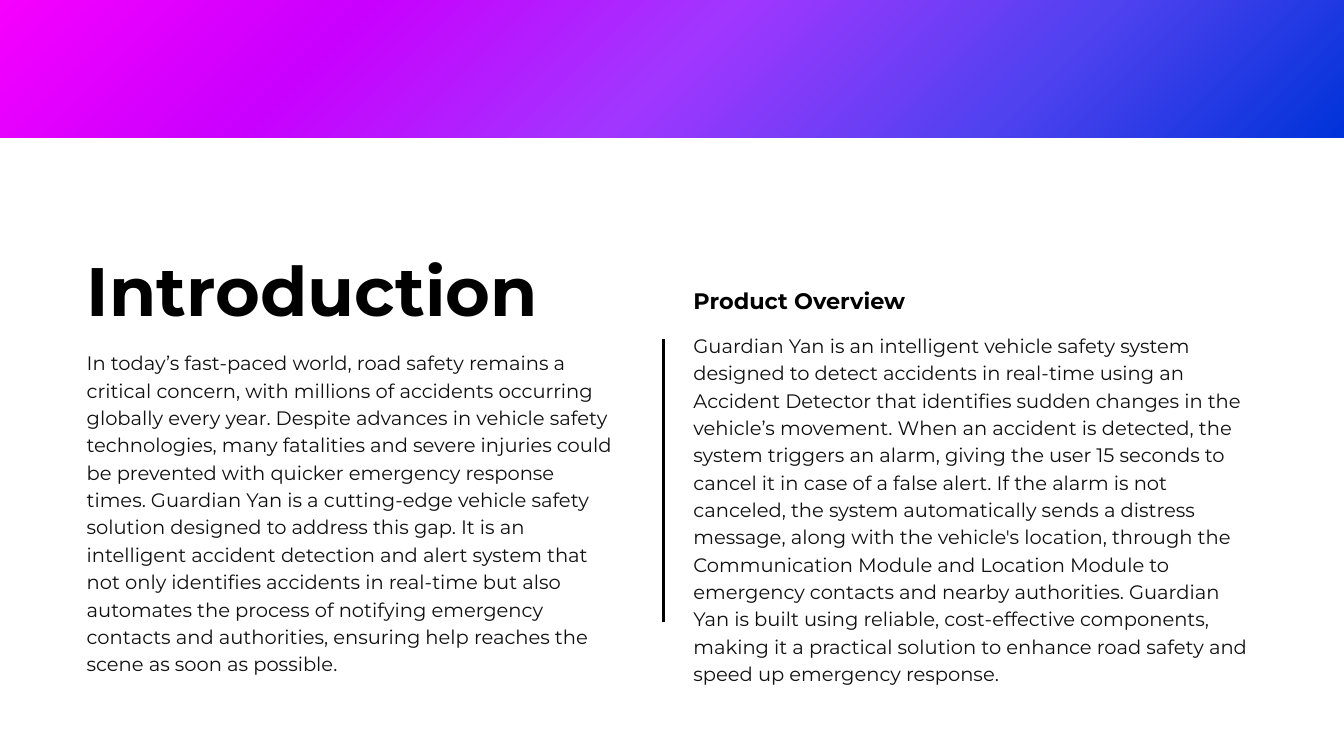
from lxml.etree import SubElement
from pptx import Presentation
from pptx.dml.color import RGBColor
from pptx.enum.shapes import MSO_CONNECTOR as Connector, MSO_SHAPE as Shape
from pptx.enum.text import MSO_AUTO_SIZE as AutoSize
from pptx.oxml.ns import qn
from pptx.util import Pt

BLACK = RGBColor(0x00, 0x00, 0x00)
INK = RGBColor(0x10, 0x10, 0x10)
BANNER_COLOURS = [
    RGBColor(0xF6, 0x00, 0xFE),
    RGBColor(0xC9, 0x00, 0xFE),
    RGBColor(0xA1, 0x36, 0xFF),
    RGBColor(0x51, 0x42, 0xF0),
    RGBColor(0x00, 0x33, 0xD9),
]

SLIDE_WIDTH, SLIDE_HEIGHT = 1440, 810
LEFT_COLUMN, RIGHT_COLUMN = 92.9, 743

TITLE = {"size": Pt(73.4), "bold": True, "color": BLACK, "line_spacing": Pt(102.8)}
HEADING = {"size": Pt(24), "bold": True, "color": BLACK, "line_spacing": Pt(33.6)}
BODY = {"size": Pt(20.9), "bold": False, "color": INK, "line_spacing": Pt(29.3)}

INTRODUCTION = (
    "In today’s fast-paced world, road safety remains a critical concern, with "
    "millions of accidents occurring globally every year. Despite advances in "
    "vehicle safety technologies, many fatalities and severe injuries could be "
    "prevented with quicker emergency response times. Guardian Yan is a "
    "cutting-edge vehicle safety solution designed to address this gap. It is an "
    "intelligent accident detection and alert system that not only identifies "
    "accidents in real-time but also automates the process of notifying emergency "
    "contacts and authorities, ensuring help reaches the scene as soon as possible."
)
OVERVIEW = (
    "Guardian Yan is an intelligent vehicle safety system designed to detect "
    "accidents in real-time using an Accident Detector that identifies sudden "
    "changes in the vehicle’s movement. When an accident is detected, the system "
    "triggers an alarm, giving the user 15 seconds to cancel it in case of a false "
    "alert. If the alarm is not canceled, the system automatically sends a distress "
    "message, along with the vehicle's location, through the Communication Module "
    "and Location Module to emergency contacts and nearby authorities. Guardian Yan "
    "is built using reliable, cost-effective components, making it a practical "
    "solution to enhance road safety and speed up emergency response."
)


def add_text(slide, text, left, top, width, height, style):
    box = slide.shapes.add_textbox(Pt(left), Pt(top), Pt(width), Pt(height))
    frame = box.text_frame
    frame_format = {
        "word_wrap": True,
        "auto_size": AutoSize.SHAPE_TO_FIT_TEXT,
        "margin_left": 0,
        "margin_top": 0,
        "margin_right": 0,
        "margin_bottom": 0,
    }
    for name, value in frame_format.items():
        setattr(frame, name, value)
    paragraph = frame.paragraphs[0]
    paragraph.line_spacing = style["line_spacing"]
    run = paragraph.add_run()
    run.text = text
    run.font.name = "Montserrat"
    for name in ("size", "bold"):
        setattr(run.font, name, style[name])
    run.font.color.rgb = style["color"]


def add_banner(slide, height, colours):
    banner = slide.shapes.add_shape(Shape.RECTANGLE, 0, 0, Pt(SLIDE_WIDTH), Pt(height))
    banner.shadow.inherit = False
    banner.line.fill.background()
    banner.fill.gradient()
    gradient = banner.fill._xPr.find(qn("a:gradFill"))
    for child in list(gradient):
        gradient.remove(child)
    stops = SubElement(gradient, qn("a:gsLst"))
    for index, colour in enumerate(colours):
        position = 100000 * index // (len(colours) - 1)
        stop = SubElement(stops, qn("a:gs"), pos=str(position))
        SubElement(stop, qn("a:srgbClr"), val=str(colour))
    SubElement(gradient, qn("a:lin"), ang="2700000", scaled="0")


def add_divider(slide, x, top, bottom):
    divider = slide.shapes.add_connector(
        Connector.STRAIGHT, Pt(x), Pt(top), Pt(x), Pt(bottom)
    )
    divider.line.color.rgb = BLACK
    divider.line.width = Pt(3)
    SubElement(divider._element.spPr, qn("a:effectLst"))


def main():
    presentation = Presentation()
    presentation.slide_width = Pt(SLIDE_WIDTH)
    presentation.slide_height = Pt(SLIDE_HEIGHT)
    slide = presentation.slides.add_slide(presentation.slide_layouts[6])

    add_text(slide, "Product Overview", RIGHT_COLUMN, 303.1, 400, 31, HEADING)
    add_text(slide, "Introduction", LEFT_COLUMN, 251.3, 661, 98, TITLE)
    add_text(slide, INTRODUCTION, LEFT_COLUMN, 372.2, 566.6, 346.3, BODY)
    add_text(slide, OVERVIEW, RIGHT_COLUMN, 353.5, 604, 375, BODY)
    add_banner(slide, 147.6, BANNER_COLOURS)
    add_divider(slide, 710.6, 363.6, 666)

    presentation.save("out.pptx")


if __name__ == "__main__":
    main()
